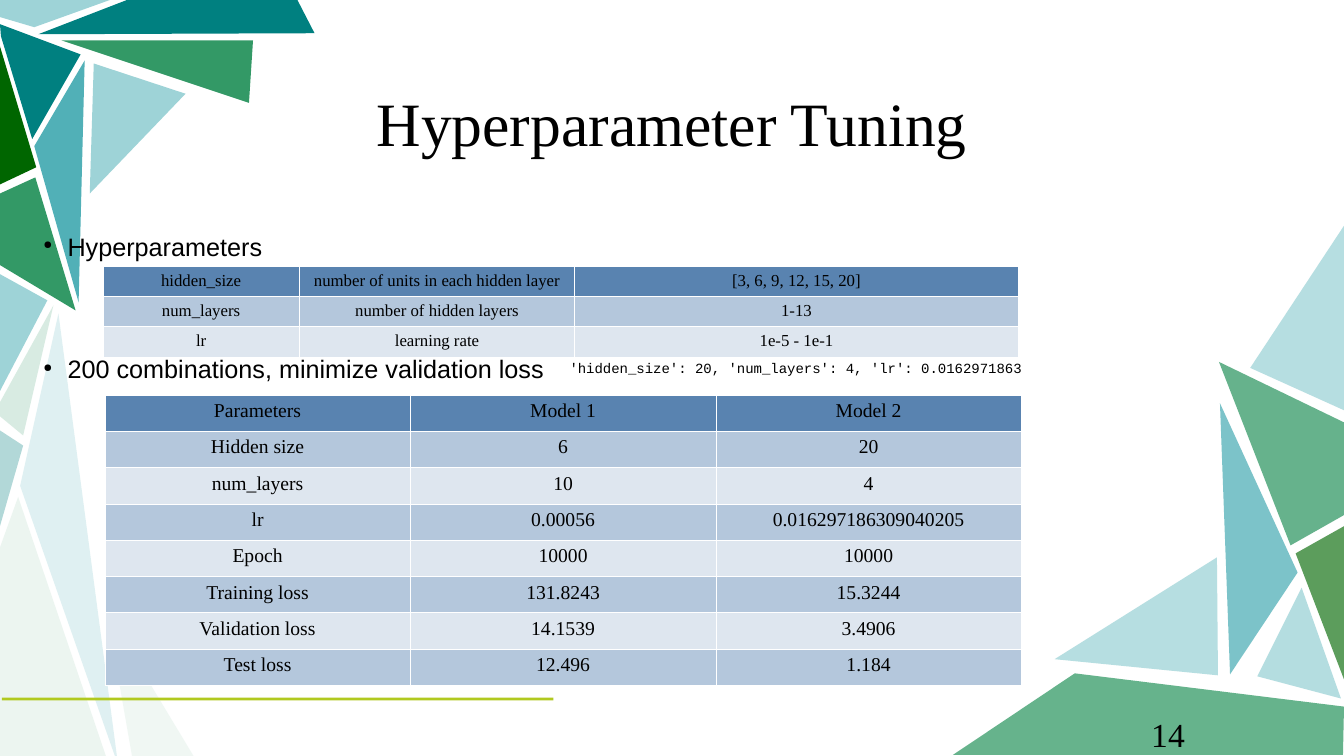
import dataclasses

import lxml.etree
import pptx
import pptx.dml.color
import pptx.enum.shapes
import pptx.enum.text
import pptx.oxml.ns
import pptx.util

Inches = pptx.util.Inches
Pt = pptx.util.Pt
qn = pptx.oxml.ns.qn


@dataclasses.dataclass(frozen=True)
class Theme:
    ink: str = "000000"
    white: str = "FFFFFF"
    lime: str = "B1C91F"
    header: str = "5983B0"
    bands: tuple = ("B4C7DC", "DEE6EF")
    pale: str = "9ED3D7"
    teal: str = "008080"
    aqua: str = "51B0B7"
    forest: str = "006600"
    green: str = "339966"
    sage: str = "66B38C"
    mint: str = "97CBB1"
    serif: str = "Times New Roman"
    sans: str = "Arial"
    mono: str = "Courier New"
    title_size: int = 44
    number_size: int = 24
    body_size: int = 18
    result_size: int = 14
    range_size: int = 12
    code_size: int = 10


class SlideBuilder:
    def __init__(self, page, theme):
        self.page = page
        self.theme = theme

    def style(self, paragraph, font, size):
        paragraph.font.name = font
        paragraph.font.size = Pt(size)
        paragraph.font.bold = False
        paragraph.font.color.rgb = pptx.dml.color.RGBColor.from_string(self.theme.ink)

    def paint(self, shape, color):
        shape.shadow.inherit = False
        shape.fill.solid()
        shape.fill.fore_color.rgb = pptx.dml.color.RGBColor.from_string(color)
        shape.line.fill.background()

    def shard(self, color, opacity, points):
        corners = [(Inches(x), Inches(y)) for x, y in points]
        outline = self.page.shapes.build_freeform(*corners[0])
        outline.add_line_segments(corners[1:], close=True)
        shape = outline.convert_to_shape()
        self.paint(shape, color)
        if opacity < 100:
            fill = shape.element.spPr.find(qn("a:solidFill"))
            lxml.etree.SubElement(fill[0], qn("a:alpha"), val=str(opacity * 1000))

    def bar(self, color, left, top, width, height):
        shape = self.page.shapes.add_shape(
            pptx.enum.shapes.MSO_SHAPE.RECTANGLE,
            Inches(left), Inches(top), Inches(width), Inches(height))
        self.paint(shape, color)

    def title(self, text, left, top, width, height):
        box = self.page.shapes.title
        box.left, box.top = Inches(left), Inches(top)
        box.width, box.height = Inches(width), Inches(height)
        frame = box.text_frame
        frame.text = text
        frame.vertical_anchor = pptx.enum.text.MSO_ANCHOR.MIDDLE
        frame.margin_left = frame.margin_right = 0
        frame.margin_top = frame.margin_bottom = 0
        frame.paragraphs[0].alignment = pptx.enum.text.PP_ALIGN.CENTER
        self.style(frame.paragraphs[0], self.theme.serif, self.theme.title_size)

    def text_box(self, left, top, width, height):
        box = self.page.shapes.add_textbox(
            Inches(left), Inches(top), Inches(width), Inches(height))
        box.text_frame.word_wrap = True
        return box.text_frame

    def label(self, text, font, size, left, top, width, height):
        frame = self.text_box(left, top, width, height)
        frame.text = text
        self.style(frame.paragraphs[0], font, size)

    def bullets(self, lines, gap, inset, left, top, width, height):
        frame = self.text_box(left, top, width, height)
        frame.margin_left = frame.margin_right = frame.margin_bottom = 0
        frame.margin_top = Inches(inset)
        frame.text = "\n".join(lines)
        for index, paragraph in enumerate(frame.paragraphs):
            if index:
                paragraph.space_before = Pt(gap)
            properties = paragraph._p.get_or_add_pPr()
            properties.set("marL", str(Inches(0.39)))
            properties.set("indent", str(Inches(-0.24)))
            color = lxml.etree.SubElement(properties, qn("a:buClr"))
            lxml.etree.SubElement(color, qn("a:srgbClr"), val=self.theme.ink)
            lxml.etree.SubElement(properties, qn("a:buSzPct"), val="45000")
            lxml.etree.SubElement(properties, qn("a:buChar"), char="●")
            self.style(paragraph, self.theme.sans, self.theme.body_size)

    def border(self, cell):
        properties = cell._tc.get_or_add_tcPr()
        for side in ("a:lnL", "a:lnR", "a:lnT", "a:lnB"):
            line = lxml.etree.SubElement(properties, qn(side), w=str(Pt(0.57)))
            fill = lxml.etree.SubElement(line, qn("a:solidFill"))
            lxml.etree.SubElement(fill, qn("a:srgbClr"), val=self.theme.white)

    def table(self, rows, widths, row_height, size, left, top):
        table = self.page.shapes.add_table(
            len(rows), len(widths), Inches(left), Inches(top),
            Inches(sum(widths)), Inches(row_height * len(rows))).table
        table.first_row = table.horz_banding = False
        for column, width in zip(table.columns, widths):
            column.width = Inches(width)
        for row_index, values in enumerate(rows):
            color = self.theme.bands[(row_index - 1) % 2] if row_index else self.theme.header
            for column_index, value in enumerate(values):
                cell = table.cell(row_index, column_index)
                cell.text = value
                cell.margin_left = cell.margin_right = Inches(0.04)
                cell.margin_top = cell.margin_bottom = Inches(0.05)
                self.border(cell)
                cell.fill.solid()
                cell.fill.fore_color.rgb = pptx.dml.color.RGBColor.from_string(color)
                paragraph = cell.text_frame.paragraphs[0]
                paragraph.alignment = pptx.enum.text.PP_ALIGN.CENTER
                self.style(paragraph, self.theme.serif, size)


def main():
    theme = Theme()
    deck = pptx.Presentation()
    deck.slide_width, deck.slide_height = Inches(13.33), Inches(7.5)
    builder = SlideBuilder(deck.slides.add_slide(deck.slide_layouts[5]), theme)

    shards = [
        (theme.pale, 100, [(0.93, 0.63), (1.84, 0.93), (0.89, 1.92)]),
        (theme.teal, 100, [(3.12, 0.33), (0.38, 0.34), (1.26, 0), (2.95, 0)]),
        (theme.forest, 100, [(0, 0.46), (0, 1.83), (0.36, 1.66)]),
        (theme.teal, 100, [(0, 0.24), (0.01, 0.36), (0.32, 1.38), (0.8, 0.54)]),
        (theme.aqua, 100, [(0.84, 0.6), (0.34, 1.45), (0.78, 3)]),
        (theme.green, 100, [(0, 1.92), (0.35, 1.76), (0.75, 3.08), (0, 2.63)]),
        (theme.forest, 64, [(13.33, 6.74), (13.33, 5.22), (12.85, 5.49)]),
        (theme.pale, 77, [(13.3, 6.93), (12.91, 5.83), (12.47, 6.71)]),
        (theme.aqua, 75, [(12.2, 6.69), (12.87, 5.68), (12.1, 4)]),
        (theme.pale, 75, [(12.08, 6.7), (10.46, 6.54), (12.07, 5.53)]),
        (theme.green, 75, [(13.33, 5.11), (12.8, 5.41), (12.09, 3.59), (13.33, 4.19)]),
        (theme.pale, 75, [(12.4, 3.65), (13.33, 4.07), (13.33, 2.24)]),
        (theme.sage, 100, [(13.33, 7.01), (10.66, 6.68), (9.45, 7.49), (13.32, 7.49)]),
        (theme.pale, 100, [(0.47, 2.98), (0, 2.72), (0, 3.88)]),
        (theme.green, 100, [(2.51, 0.4), (0.61, 0.4), (2.47, 1.02)]),
        (theme.pale, 100, [(0.34, 0.27), (1.09, 0), (0, 0), (0, 0.17)]),
        (theme.sage, 25, [(0, 4.13), (0, 3.99), (0.53, 3.03), (0.23, 4.32)]),
        (theme.aqua, 18, [(1.16, 7.5), (0.58, 3.11), (0.2, 4.82), (1.14, 7.5)]),
        (theme.teal, 30, [(0, 4.27), (0.23, 4.42), (0, 5.22)]),
        (theme.mint, 14, [(1.06, 6.07), (1.31, 7.5), (1.92, 7.5)]),
        (theme.mint, 18, [(0, 5.43), (0.18, 4.93), (1.05, 7.5), (0, 7.5)]),
    ]
    for color, opacity, points in shards:
        builder.shard(color, opacity, points)
    builder.bar(theme.lime, 0.02, 6.92, 5.47, 0.03)
    builder.label("14", theme.serif, theme.number_size, 11.32, 7.03, 2, 0.47)

    builder.title("Hyperparameter Tuning", 0.67, 0.58, 11.99, 1.25)
    builder.bullets(["Hyperparameters", "200 combinations, minimize validation loss"],
                    66, 0.63, 0.28, 1.66, 12, 4.35)
    search_ranges = [
        ("hidden_size", "number of units in each hidden layer", "[3, 6, 9, 12, 15, 20]"),
        ("num_layers", "number of hidden layers", "1-13"),
        ("lr", "learning rate", "1e-5 - 1e-1"),
    ]
    builder.table(search_ranges, [1.95, 2.73, 4.4], 0.29, theme.range_size, 1.02, 2.64)
    builder.label("'hidden_size': 20, 'num_layers': 4, 'lr': 0.0162971863",
                  theme.mono, theme.code_size, 5.55, 3.52, 4.75, 0.25)
    results = [
        ("Parameters", "Model 1", "Model 2"),
        ("Hidden size", "6", "20"),
        ("num_layers", "10", "4"),
        ("lr", "0.00056", "0.016297186309040205"),
        ("Epoch", "10000", "10000"),
        ("Training loss", "131.8243", "15.3244"),
        ("Validation loss", "14.1539", "3.4906"),
        ("Test loss", "12.496", "1.184"),
    ]
    builder.table(results, [3.03] * 3, 0.36, theme.result_size, 1.04, 3.92)
    deck.save("out.pptx")


if __name__ == "__main__":
    main()
